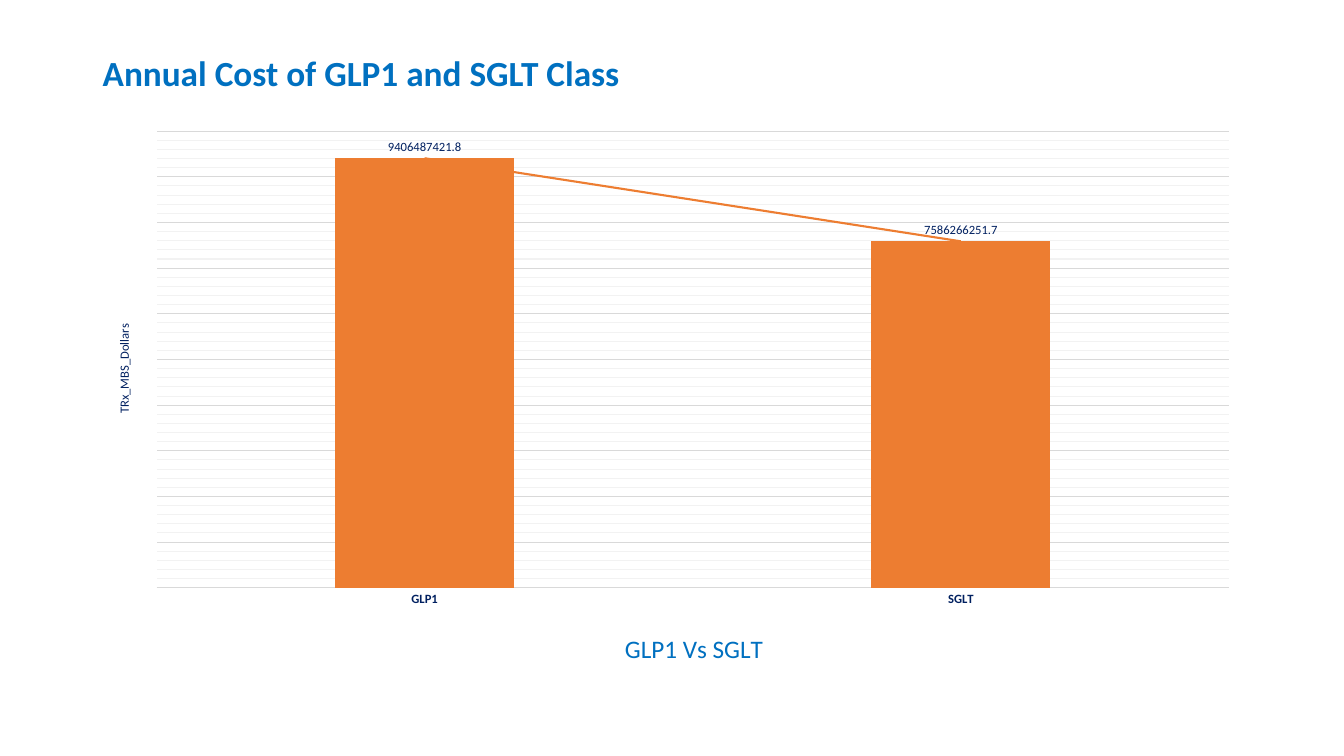
from lxml import etree
from pptx import Presentation
from pptx.chart.data import CategoryChartData
from pptx.dml.color import RGBColor
from pptx.enum.chart import XL_CHART_TYPE as ChartType
from pptx.enum.chart import XL_LABEL_POSITION as LabelPos
from pptx.enum.chart import XL_TICK_MARK as TickMark
from pptx.enum.text import MSO_ANCHOR as Anchor
from pptx.oxml import parse_xml
from pptx.oxml.ns import nsdecls, qn
from pptx.util import Inches, Pt

FONT = "Calibri"
COLORS = {
    "title": "0070C0",
    "text": "002060",
    "bar": "ED7D31",
    "grid": "D9D9D9",
    "minor_grid": "F2F2F2",
}
COSTS = {"GLP1": 9406487421.8, "SGLT": 7586266251.7}


def style_font(font, size, color, bold=False):
    font.name = FONT
    font.size = Pt(size)
    font.bold = bold
    font.color.rgb = RGBColor.from_string(COLORS[color])


def style_line(line, color):
    line.width = Pt(0.75)
    line.color.rgb = RGBColor.from_string(COLORS[color])


def line_xml(color, points):
    return (
        f"<c:spPr {nsdecls('c', 'a')}><a:ln w=\"{Pt(points)}\"><a:solidFill>"
        f"<a:srgbClr val=\"{COLORS[color]}\"/></a:solidFill></a:ln></c:spPr>"
    )


def set_layout(parent, index, **places):
    for old in parent.findall(qn("c:layout")):
        parent.remove(old)
    layout = parse_xml(f"<c:layout {nsdecls('c')}><c:manualLayout/></c:layout>")
    manual = layout[0]
    if "w" in places:
        etree.SubElement(manual, qn("c:layoutTarget")).set("val", "inner")
    for side in "xy":
        etree.SubElement(manual, qn(f"c:{side}Mode")).set("val", "edge")
    for name, share in places.items():
        etree.SubElement(manual, qn(f"c:{name}")).set("val", str(share))
    parent.insert(index, layout)


def add_axis_title(axis, text, size, color, x, y):
    title = axis.axis_title
    tf = title.text_frame
    tf.text = text
    style_font(tf.paragraphs[0].runs[0].font, size, color)
    set_layout(title._element, 1, x=x, y=y)
    return tf


def add_trend_line(series):
    trend = parse_xml(
        f"<c:trendline {nsdecls('c')}>{line_xml('bar', 1.5)}"
        "<c:trendlineType val=\"linear\"/>"
        "<c:dispRSqr val=\"0\"/><c:dispEq val=\"0\"/></c:trendline>"
    )
    series._element.find(qn("c:cat")).addprevious(trend)


def add_title(slide, left, top, width, height):
    box = slide.shapes.add_textbox(left, top, width, height)
    tf = box.text_frame
    tf.word_wrap = True
    tf.vertical_anchor = Anchor.MIDDLE
    tf.text = "Annual Cost of GLP1 and SGLT Class"
    p = tf.paragraphs[0]
    p.line_spacing = 0.9
    style_font(p.runs[0].font, 25.2, "title", True)


def add_cost_chart(slide, left, top, width, height):
    data = CategoryChartData()
    data.categories = list(COSTS)
    data.add_series("Series 1", list(COSTS.values()))
    frame = slide.shapes.add_chart(
        ChartType.COLUMN_CLUSTERED, left, top, width, height, data)
    chart = frame.chart
    chart.has_title = False
    chart.has_legend = False
    chart.font.name = FONT
    chart.font.size = Pt(10)
    set_layout(chart._chartSpace.chart.plotArea, 0,
               x=0.055, y=0.02, w=0.925, h=0.815)

    plot = chart.plots[0]
    plot.gap_width = 199
    plot.vary_by_categories = False
    series = plot.series[0]
    series.format.fill.solid()
    series.format.fill.fore_color.rgb = RGBColor.from_string(COLORS["bar"])
    labels = series.data_labels
    labels.show_value = True
    labels.position = LabelPos.OUTSIDE_END
    style_font(labels.font, 9, "text")
    add_trend_line(series)

    cat = chart.category_axis
    cat.major_tick_mark = TickMark.NONE
    style_line(cat.format.line, "grid")
    style_font(cat.tick_labels.font, 9, "text", True)
    add_axis_title(cat, "GLP1 Vs SGLT", 18, "title", 0.455, 0.905)

    val = chart.value_axis
    val.minimum_scale, val.maximum_scale = 0, 10_000_000_000
    val.major_unit, val.minor_unit = 1_000_000_000, 200_000_000
    val.has_major_gridlines = True
    val.has_minor_gridlines = True
    style_line(val.major_gridlines.format.line, "grid")
    minor_grid = val._element.find(qn("c:minorGridlines"))
    minor_grid.append(parse_xml(line_xml("minor_grid", 0.75)))
    tf = add_axis_title(val, "TRx_MBS_Dollars", 9, "text", 0.018, 0.36)
    tf._txBody.bodyPr.set("rot", "-5400000")
    tf._txBody.bodyPr.set("vert", "horz")
    val.visible = False


def main():
    prs = Presentation()
    prs.slide_width = Inches(13.33)
    prs.slide_height = Inches(7.5)
    slide = prs.slides.add_slide(prs.slide_layouts[6])
    left, width = Inches(0.92), Inches(11.5)
    add_title(slide, left, Inches(0.4), width, Inches(0.7))
    add_cost_chart(slide, left, Inches(1.19), width, Inches(5.56))
    prs.save("out.pptx")


if __name__ == "__main__":
    main()
